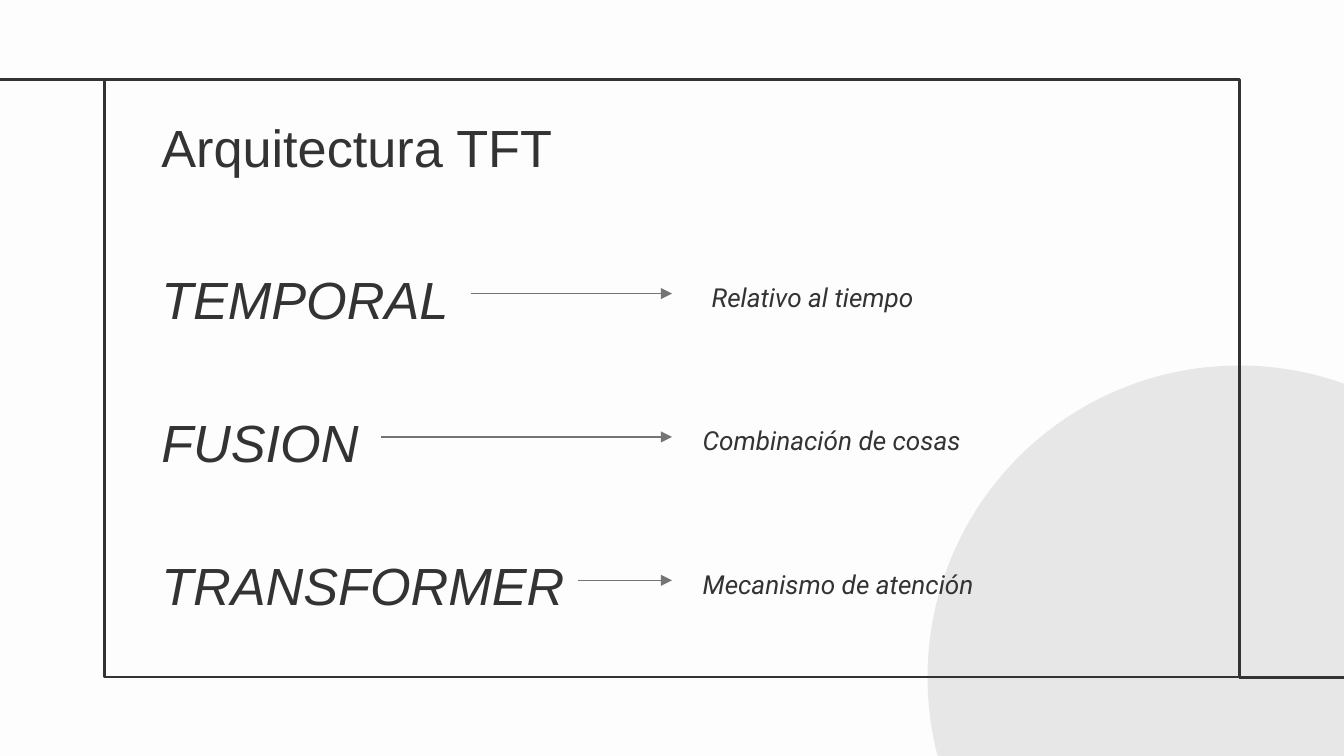
from pptx import Presentation
from pptx.dml.color import RGBColor
from pptx.enum.shapes import MSO_CONNECTOR, MSO_SHAPE
from pptx.enum.text import MSO_ANCHOR, MSO_AUTO_SIZE, PP_ALIGN
from pptx.oxml.ns import qn
from pptx.util import Cm, Pt
from lxml.etree import SubElement

TITLE = "Arquitectura TFT"
TERMS = [
    ("TEMPORAL", 6.1, "Relativo al tiempo", 13.2),
    ("FUSION", 4.4, "Combinación de cosas", 13.03),
    ("TRANSFORMER", 8.13, "Mecanismo de atención", 13.03),
]

INK, GREY, PALE, PAPER = "333333", "747474", "E8E7E7", "FDFDFD"
SLIDE_WIDTH, SLIDE_HEIGHT = 25.4, 14.29
FRAME_LEFT, FRAME_TOP, FRAME_WIDTH, FRAME_HEIGHT = 1.98, 1.5, 21.44, 11.3
CIRCLE_SIZE = 11.78
TEXT_LEFT, TITLE_TOP, TERM_HEIGHT = 2.8, 1.88, 1.6
FIRST_ROW, ROW_STEP = 4.75, 2.71
ARROW_END = 12.7
MEANING_WIDTH, MEANING_HEIGHT, MEANING_DROP = 6.1, 1.2, 0.23


def color(value):
    return RGBColor.from_string(value)


def place(shape, left, top, width, height):
    shape.left, shape.top = Cm(left), Cm(top)
    shape.width, shape.height = Cm(width), Cm(height)


def write(shape, text, font_name, size, italic, anchor):
    frame = shape.text_frame
    frame.text = text
    frame.word_wrap = True
    frame.auto_size = MSO_AUTO_SIZE.NONE
    frame.vertical_anchor = anchor
    frame.margin_left = frame.margin_right = Cm(0.25)
    frame.margin_top = frame.margin_bottom = Cm(0.25)
    paragraph = frame.paragraphs[0]
    paragraph.alignment = PP_ALIGN.LEFT
    paragraph.line_spacing = 1.15
    paragraph.space_before = Pt(0)
    font = paragraph.font
    font.name, font.size, font.italic = font_name, Pt(size), italic
    font.color.rgb = color(INK)


def add_line(shapes, x1, y1, x2, y2, line_color, width, arrow=False):
    connector = shapes.add_connector(
        MSO_CONNECTOR.STRAIGHT, Cm(x1), Cm(y1), Cm(x2), Cm(y2))
    connector.line.color.rgb = color(line_color)
    connector.line.width = Pt(width)
    properties = connector.element.spPr
    if arrow:
        SubElement(properties.find(qn("a:ln")), qn("a:tailEnd"), type="triangle")
    SubElement(properties, qn("a:effectLst"))


def add_decoration(shapes):
    right, bottom = FRAME_LEFT + FRAME_WIDTH, FRAME_TOP + FRAME_HEIGHT
    circle = shapes.add_shape(
        MSO_SHAPE.OVAL, Cm(right - CIRCLE_SIZE / 2), Cm(bottom - CIRCLE_SIZE / 2),
        Cm(CIRCLE_SIZE), Cm(CIRCLE_SIZE))
    circle.shadow.inherit = False
    circle.fill.solid()
    circle.fill.fore_color.rgb = color(PALE)
    circle.line.fill.background()

    frame = shapes.add_shape(
        MSO_SHAPE.RECTANGLE, Cm(FRAME_LEFT), Cm(FRAME_TOP),
        Cm(FRAME_WIDTH), Cm(FRAME_HEIGHT))
    frame.shadow.inherit = False
    frame.fill.background()
    frame.line.color.rgb = color(INK)
    frame.line.width = Pt(1.5)

    add_line(shapes, right, bottom, SLIDE_WIDTH, bottom, INK, 1.5)
    add_line(shapes, FRAME_LEFT, FRAME_TOP, 0, FRAME_TOP, INK, 1.5)


def add_text(shapes, left, top, width, height, *style):
    box = shapes.add_textbox(0, 0, 0, 0)
    place(box, left, top, width, height)
    write(box, *style)


def main():
    presentation = Presentation()
    presentation.slide_width, presentation.slide_height = Cm(SLIDE_WIDTH), Cm(SLIDE_HEIGHT)
    slide = presentation.slides.add_slide(presentation.slide_layouts[5])
    slide.background.fill.solid()
    slide.background.fill.fore_color.rgb = color(PAPER)
    shapes = slide.shapes

    add_decoration(shapes)
    title = shapes.title
    place(title, TEXT_LEFT, TITLE_TOP, 8.76, TERM_HEIGHT)
    write(title, TITLE, "Arial", 28, False, MSO_ANCHOR.MIDDLE)
    shapes[-1].element.addnext(title.element)

    for row, (term, width, meaning, meaning_left) in enumerate(TERMS):
        top = FIRST_ROW + row * ROW_STEP
        middle = top + TERM_HEIGHT / 2
        add_text(shapes, TEXT_LEFT, top, width, TERM_HEIGHT,
                 term, "Arial", 28, True, MSO_ANCHOR.MIDDLE)
        add_line(shapes, TEXT_LEFT + width, middle, ARROW_END, middle, GREY, 0.75, arrow=True)
        add_text(shapes, meaning_left, top + MEANING_DROP, MEANING_WIDTH, MEANING_HEIGHT,
                 meaning, "Roboto", 14, True, MSO_ANCHOR.TOP)

    presentation.save("out.pptx")


if __name__ == "__main__":
    main()
